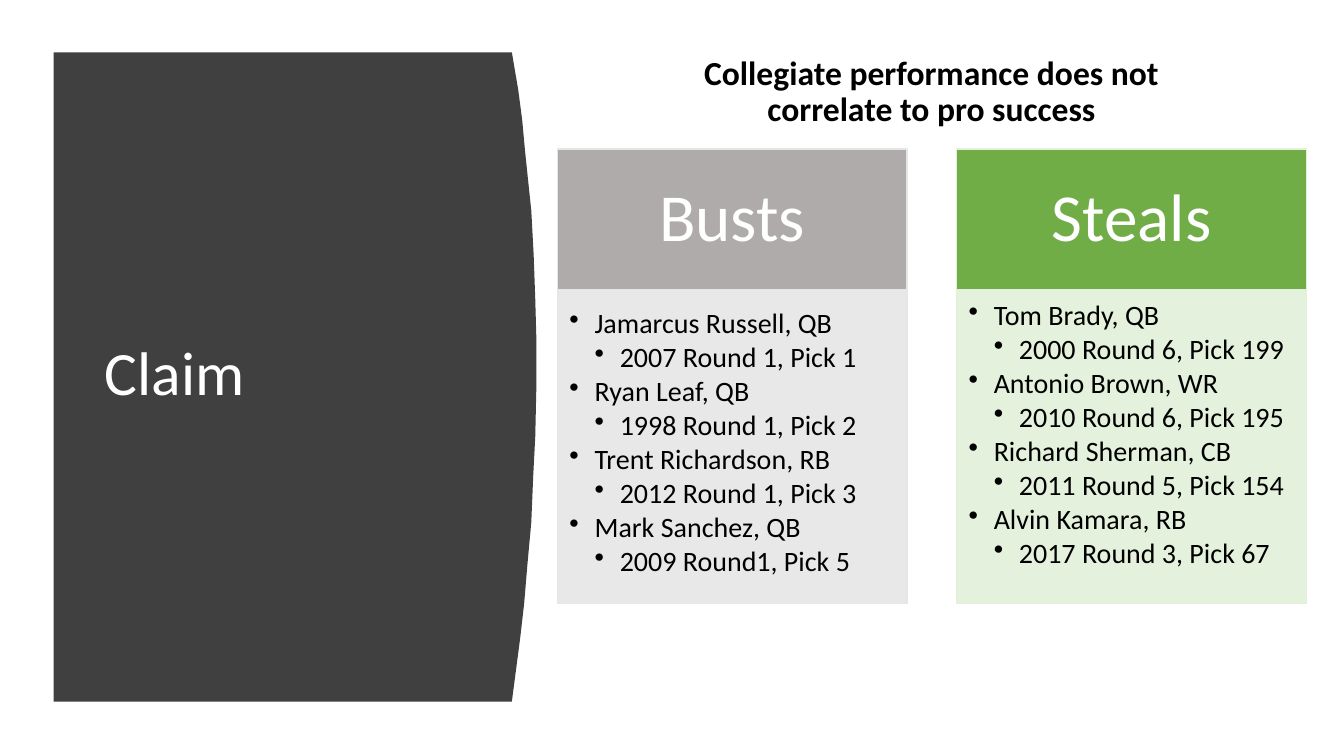
from dataclasses import dataclass

import lxml.etree
import pptx
import pptx.dml.color
import pptx.enum.shapes
import pptx.enum.text
import pptx.oxml.ns
import pptx.shapes.autoshape
import pptx.slide
import pptx.text.text
import pptx.util

Cm = pptx.util.Cm
Pt = pptx.util.Pt
ALIGN = pptx.enum.text.PP_ALIGN
ANCHOR = pptx.enum.text.MSO_ANCHOR

FONT = "Calibri"
COLORS = {
    "panel": "404040",
    "white": "FFFFFF",
    "black": "000000",
    "busts": "AFABAB",
    "busts_light": "E7E6E6",
    "steals": "70AD47",
    "steals_light": "E2F0D9",
}

PANEL_LEFT = 1.35
PANEL_CURVE = [
    (12.9, 1.32), (13.06, 2.26), (13.16, 3.02), (13.23, 3.78), (13.31, 4.55),
    (13.39, 5.31), (13.45, 6.43), (13.49, 7.54), (13.52, 8.61), (13.52, 9.65),
    (13.49, 11), (13.44, 11.96), (13.39, 13.16), (13.29, 14.25), (13.21, 15.21),
    (13.11, 16.08), (12.98, 17.07), (12.9, 17.68),
]

CARD_LEFT = 14.05
CARD_STEP = 10.06
CARD_WIDTH = 8.81
HEADER_TOP = 3.76
HEADER_HEIGHT = 3.53
BODY_HEIGHT = 7.92
INDENT = 0.635


@dataclass(frozen=True)
class Box:
    left: float
    top: float
    width: float
    height: float


@dataclass(frozen=True)
class Player:
    name: str
    pick: str


@dataclass(frozen=True)
class Card:
    heading: str
    color: str
    light_color: str
    body_anchor: pptx.enum.text.MSO_ANCHOR
    players: tuple[Player, ...]


CARDS = [
    Card("Busts", "busts", "busts_light", ANCHOR.MIDDLE, (
        Player("Jamarcus Russell, QB", "2007 Round 1, Pick 1"),
        Player("Ryan Leaf, QB", "1998 Round 1, Pick 2"),
        Player("Trent Richardson, RB", "2012 Round 1, Pick 3"),
        Player("Mark Sanchez, QB", "2009 Round1, Pick 5"),
    )),
    Card("Steals", "steals", "steals_light", ANCHOR.TOP, (
        Player("Tom Brady, QB", "2000 Round 6, Pick 199"),
        Player("Antonio Brown, WR", "2010 Round 6, Pick 195"),
        Player("Richard Sherman, CB", "2011 Round 5, Pick 154"),
        Player("Alvin Kamara, RB", "2017 Round 3, Pick 67"),
    )),
]


def rgb(name: str) -> pptx.dml.color.RGBColor:
    return pptx.dml.color.RGBColor.from_string(COLORS[name])


def write(paragraph: pptx.text.text._Paragraph, text: str, size: float, color: str,
          alignment: pptx.enum.text.PP_ALIGN = ALIGN.LEFT, bold: bool = False) -> None:
    paragraph.alignment = alignment
    paragraph.line_spacing = 0.9
    run = paragraph.add_run()
    run.text = text
    run.font.name = FONT
    run.font.size = Pt(size)
    run.font.bold = bold
    run.font.color.rgb = rgb(color)


def set_frame(frame: pptx.text.text.TextFrame, anchor: pptx.enum.text.MSO_ANCHOR,
              margins: tuple[float, float, float, float]) -> None:
    frame.word_wrap = True
    frame.vertical_anchor = anchor
    (frame.margin_left, frame.margin_top,
     frame.margin_right, frame.margin_bottom) = map(Cm, margins)


def add_text(slide: pptx.slide.Slide, box: Box) -> pptx.text.text._Paragraph:
    shape = slide.shapes.add_textbox(Cm(box.left), Cm(box.top), Cm(box.width), Cm(box.height))
    set_frame(shape.text_frame, ANCHOR.MIDDLE, (0.25, 0.13, 0.25, 0.13))
    return shape.text_frame.paragraphs[0]


def add_rectangle(slide: pptx.slide.Slide, box: Box, fill: str,
                  line: str) -> pptx.shapes.autoshape.Shape:
    shape = slide.shapes.add_shape(
        pptx.enum.shapes.MSO_SHAPE.RECTANGLE,
        Cm(box.left), Cm(box.top), Cm(box.width), Cm(box.height))
    shape.shadow.inherit = False
    shape.fill.solid()
    shape.fill.fore_color.rgb = rgb(fill)
    shape.line.color.rgb = rgb(line)
    shape.line.width = Pt(1)
    return shape


def set_opacity(shape: pptx.shapes.autoshape.Shape, percent: int) -> None:
    color = shape._element.spPr.find("a:solidFill/a:srgbClr", pptx.oxml.ns._nsmap)
    alpha = lxml.etree.SubElement(color, pptx.oxml.ns.qn("a:alpha"))
    alpha.set("val", str(percent * 1000))


def set_bullet(paragraph: pptx.text.text._Paragraph, level: int) -> None:
    paragraph.level = level
    paragraph.space_after = Pt(2.7)
    properties = paragraph._p.get_or_add_pPr()
    properties.set("marL", str(Cm(INDENT * level)))
    properties.set("indent", str(-Cm(INDENT)))
    bullet = lxml.etree.SubElement(properties, pptx.oxml.ns.qn("a:buChar"))
    bullet.set("char", "•")


def add_panel(slide: pptx.slide.Slide) -> None:
    top, bottom = PANEL_CURVE[0][1], PANEL_CURVE[-1][1]
    builder = slide.shapes.build_freeform(Cm(PANEL_LEFT), Cm(top))
    outline = PANEL_CURVE + [(PANEL_LEFT, bottom)]
    builder.add_line_segments([(Cm(x), Cm(y)) for x, y in outline], close=True)
    panel = builder.convert_to_shape()
    panel.shadow.inherit = False
    panel.fill.solid()
    panel.fill.fore_color.rgb = rgb("panel")
    panel.line.fill.background()


def add_card(slide: pptx.slide.Slide, card: Card, left: float) -> None:
    header = add_rectangle(slide, Box(left, HEADER_TOP, CARD_WIDTH, HEADER_HEIGHT),
                           card.color, card.light_color)
    set_frame(header.text_frame, ANCHOR.MIDDLE, (0.94, 0.53, 0.94, 0.53))
    write(header.text_frame.paragraphs[0], card.heading, 48, "white", ALIGN.CENTER)

    body = add_rectangle(slide, Box(left, HEADER_TOP + HEADER_HEIGHT, CARD_WIDTH, BODY_HEIGHT),
                         card.light_color, card.light_color)
    set_opacity(body, 90)
    frame = body.text_frame
    set_frame(frame, card.body_anchor, (0.3, 0.3, 0.41, 0.43))
    lines = [line for player in card.players
             for line in ((player.name, 1), (player.pick, 2))]
    for index, (text, level) in enumerate(lines):
        paragraph = frame.add_paragraph() if index else frame.paragraphs[0]
        write(paragraph, text, 20, "black")
        set_bullet(paragraph, level)


def main() -> None:
    presentation = pptx.Presentation()
    presentation.slide_width = Cm(33.87)
    presentation.slide_height = Cm(19.05)
    slide = presentation.slides.add_slide(presentation.slide_layouts[6])

    add_panel(slide)
    write(add_text(slide, Box(2.39, 2.82, 9.4, 13.31)), "Claim", 44, "white")
    for index, card in enumerate(CARDS):
        add_card(slide, card, CARD_LEFT + index * CARD_STEP)
    statement = add_text(slide, Box(16.31, 0.51, 14.33, 3.66))
    statement.space_before = Pt(10)
    write(statement, "Collegiate performance does not correlate to pro success",
          24, "black", ALIGN.CENTER, bold=True)

    presentation.save("out.pptx")


if __name__ == "__main__":
    main()
